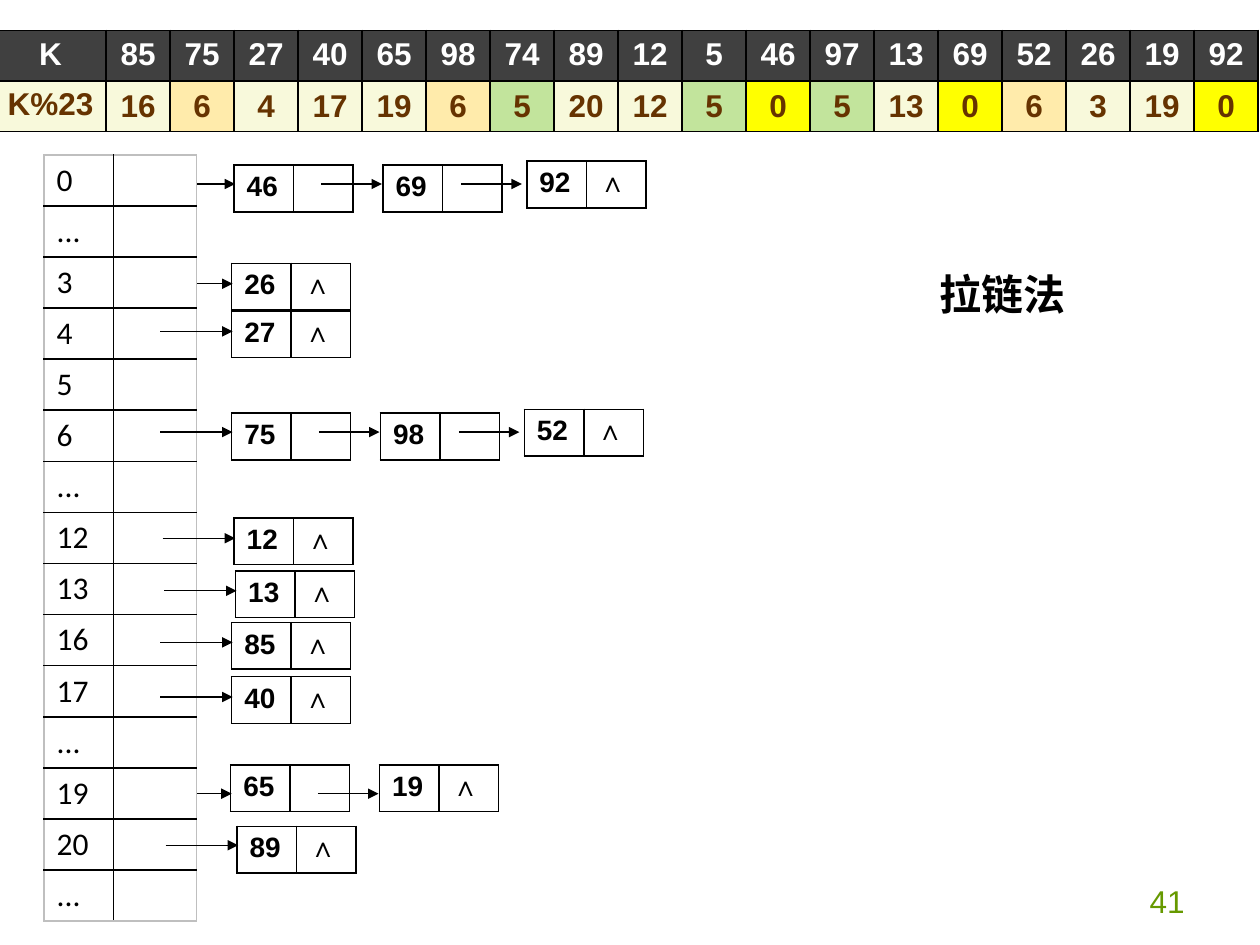
import pptx
import pptx.util
import pptx.dml.color
import pptx.enum.text
import pptx.enum.shapes
import pptx.oxml.ns
import lxml.etree

Cm = pptx.util.Cm
Pt = pptx.util.Pt
qn = pptx.oxml.ns.qn
sub = lxml.etree.SubElement
PP = pptx.enum.text.PP_ALIGN
MID = pptx.enum.text.MSO_ANCHOR.MIDDLE


def ink(font, size, color, face, bold=False):
    font.size = Pt(size)
    font.name = face
    font.bold = bold
    font.color.rgb = pptx.dml.color.RGBColor.from_string(color)


def grid(left, top, cols, high, rows, face, size, bold, edge):
    box = slide.shapes.add_table(len(rows), len(cols), Cm(left), Cm(top),
                                 Cm(sum(cols)), Cm(high * len(rows)))
    table = box.table
    table.first_row = table.horz_banding = False
    for col, wide in zip(table.columns, cols):
        col.width = Cm(wide)
    for r, row in enumerate(rows):
        table.rows[r].height = Cm(high)
        for c, text in enumerate(row):
            cell = table.cell(r, c)
            outer = {"L": c == 0, "R": c == len(cols) - 1,
                     "T": r == 0, "B": r == len(rows) - 1}
            props = cell._tc.get_or_add_tcPr()
            for side, rim in outer.items():
                line = sub(props, qn("a:ln" + side), w=str(Pt(1)))
                fill = sub(line, qn("a:solidFill"))
                sub(fill, qn("a:srgbClr"), val=edge if rim else "000000")
            cell.fill.background()
            if text:
                run = cell.text_frame.paragraphs[0].add_run()
                run.text = text
                ink(run.font, size, "000000", face, bold)
            else:
                cell.margin_top = cell.margin_bottom = 0
    return table


deck = pptx.Presentation()
deck.slide_width = Cm(25.4)
deck.slide_height = Cm(19.05)
slide = deck.slides.add_slide(deck.slide_layouts[6])

notes = [
    ("41", 18.21, 17.65, 5.92, 1.02, PP.RIGHT, MID, 18, "669900", "Arial", False),
    ("拉链法", 18.69, 5.28, 5.03, 1.27, PP.LEFT, None, 24, "000000", "Times New Roman", True),
]
for text, left, top, wide, high, side, anchor, size, color, face, bold in notes:
    frame = slide.shapes.add_textbox(Cm(left), Cm(top), Cm(wide), Cm(high)).text_frame
    frame.word_wrap = True
    frame.vertical_anchor = anchor
    para = frame.paragraphs[0]
    para.alignment = side
    run = para.add_run()
    run.text = text
    ink(run.font, size, color, face, bold)

keys = [85, 75, 27, 40, 65, 98, 74, 89, 12, 5, 46, 97, 13, 69, 52, 26, 19, 92]
tints = {0: "FFFF00", 5: "C2E49C", 6: "FFEBAB"}
heads = ["K"] + [str(key) for key in keys]
rests = ["K%23"] + [str(key % 23) for key in keys]
table = grid(-0.1, 0.61, [2.24] + [1.29] * len(keys), 1.02, [heads, rests],
             "Arial", 18, True, "000000")
for c in range(len(heads)):
    for r in range(2):
        cell = table.cell(r, c)
        para = cell.text_frame.paragraphs[0]
        para.alignment = PP.CENTER
        tint = tints.get(keys[c - 1] % 23, "F8F9DB") if c else "F8F9DB"
        cell.fill.solid()
        cell.fill.fore_color.rgb = pptx.dml.color.RGBColor.from_string(tint if r else "404040")
        ink(para.runs[0].font, 18, "663300" if r else "FFFFFF", "Arial", True)
        if r and c:
            cell.vertical_anchor = MID
            cell.margin_left = cell.margin_right = cell.margin_top = Cm(0.03)
            cell.margin_bottom = 0

slots = ["0", "...", "3", "4", "5", "6", "...", "12", "13", "16", "17", "...", "19", "20", "..."]
chains = [
    (4.67, 5.31, 5.72, [26]),
    (4.72, 3.33, 3.71, [46, 69, 92]),
    (4.65, 15.42, 16, [65, 19]),
    (4.67, 6.27, 6.68, [27]),
    (4.67, 8.33, 8.71, [75, 98, 52]),
    (4.72, 10.44, 10.85, [12]),
    (4.75, 11.51, 11.91, [13]),
    (4.67, 13.64, 14.05, [40]),
    (4.67, 12.55, 12.95, [85]),
    (4.78, 16.66, 17.04, [89]),
]
links = [(-1.44, 1.46), (1.76, 1.22), (4.58, 1.22)]
steps = [(0, 0), (3, 0), (5.9, -0.08)]
for n, (left, top, mid, nodes) in enumerate(chains):
    if n == 3:
        table = grid(0.89, 3.12, [1.4, 1.67], 1.03, [[slot, ""] for slot in slots],
                     "Calibri", 18, False, "BFBFBF")
        for cell in table.iter_cells():
            cell.fill.solid()
            cell.fill.fore_color.rgb = pptx.dml.color.RGBColor.from_string("FFFFFF")
    for key, (start, span), (right, down) in zip(nodes, links, steps):
        arrow = slide.shapes.add_connector(
            pptx.enum.shapes.MSO_CONNECTOR.STRAIGHT,
            Cm(left + start), Cm(mid), Cm(left + start + span), Cm(mid))
        arrow.line.width = Pt(0.75)
        arrow.line.color.rgb = pptx.dml.color.RGBColor.from_string("000000")
        sub(arrow.line._get_or_add_ln(), qn("a:tailEnd"), type="triangle")
        sub(arrow._element.spPr, qn("a:effectLst"))
        last = "∧" if key == nodes[-1] else ""
        grid(left + right, top + down, [1.2, 1.2], 0.94, [[str(key), last]],
             "Arial", 16, True, "000000")

deck.save("out.pptx")
